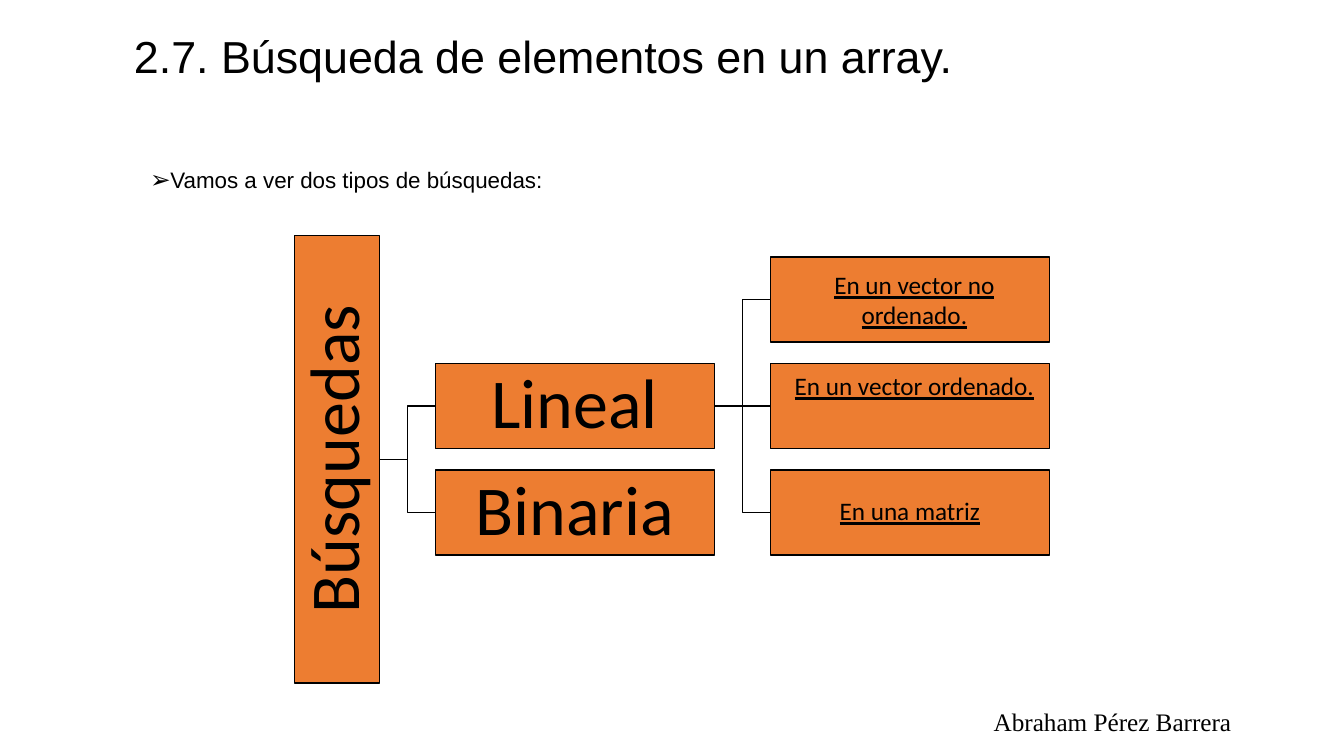
import pptx
import pptx.dml.color
import pptx.enum.shapes
import pptx.enum.text
import pptx.oxml.ns
import pptx.util
from lxml import etree

Pt = pptx.util.Pt
ALIGN = pptx.enum.text.PP_ALIGN
ANCHOR = pptx.enum.text.MSO_ANCHOR
LINK = pptx.enum.shapes.MSO_CONNECTOR

BLACK, ORANGE = "000000", "ED7D31"

# text, left, top, width, height, font, size, anchor
NOTES = {
    "author": ("Abraham Pérez Barrera", 702.7, 501, 191.5, 29, "Times New Roman", 18, ANCHOR.TOP),
    "title": ("2.7. Búsqueda de elementos en un array.", 88.6, 6.5, 805.7, 71.3, "Arial", 32, ANCHOR.MIDDLE),
    "intro": ("Vamos a ver dos tipos de búsquedas:", 100.1, 105.8, 794.9, 342.7, "Arial", 16, ANCHOR.TOP),
}
ROOT = "Búsquedas"
# text, column, row
KINDS = [("Lineal", 0, 1), ("Binaria", 0, 2)]
# text, column, row, line spacing, left indent, bottom inset
LEAVES = [
    ("En un vector no ordenado.", 1, 0, 1, 6.5, 1),
    ("En un vector ordenado.", 1, 1, 1, 6.5, 30),
    ("En una matriz", 1, 2, 0.9, 0, 1),
]
LEFT, TOP = 310.9, 183.6
WIDE, HIGH = 199.4, 60.8
GAP_X, GAP_Y = 39.9, 15.2
TALL = 319.7


def color(code):
    return pptx.dml.color.RGBColor.from_string(code)


def write(frame, text, font, size, space=1, under=False):
    para = frame.paragraphs[0]
    para.line_spacing = space
    run = para.add_run()
    run.text = text
    run.font.name, run.font.size = font, Pt(size)
    run.font.color.rgb = color(BLACK)
    if under:
        run.font.underline = True
    return para


def note(slide, key, space=1):
    text, left, top, width, height, font, size, anchor = NOTES[key]
    box = slide.shapes.add_textbox(Pt(left), Pt(top), Pt(width), Pt(height))
    box.text_frame.word_wrap = True
    box.text_frame.vertical_anchor = anchor
    return write(box.text_frame, text, font, size, space)


def bullet(para, sign, percent, indent):
    props = para._p.get_or_add_pPr()
    props.set("marL", str(Pt(indent)))
    props.set("indent", str(-Pt(indent)))
    for tag, key, value in (("a:buSzPct", "val", str(percent * 1000)),
                            ("a:buFont", "typeface", "Arial"),
                            ("a:buChar", "char", sign)):
        etree.SubElement(props, pptx.oxml.ns.qn(tag)).set(key, value)


def block(slide, left, top, width, height, inset):
    """Add an empty orange box of the tree."""
    shape = slide.shapes.add_shape(pptx.enum.shapes.MSO_SHAPE.RECTANGLE,
                                   Pt(left), Pt(top), Pt(width), Pt(height))
    shape.shadow.inherit = False
    shape.fill.solid()
    shape.fill.fore_color.rgb = color(ORANGE)
    shape.line.color.rgb = color(BLACK)
    shape.line.width = Pt(1)
    frame = shape.text_frame
    frame.word_wrap = True
    frame.vertical_anchor = ANCHOR.MIDDLE
    frame.margin_left = frame.margin_right = Pt(inset)
    frame.margin_top = frame.margin_bottom = Pt(inset)
    frame.paragraphs[0].alignment = ALIGN.CENTER
    return shape


def cell(slide, col, row, inset):
    """Add a box at a column and row of the tree."""
    return block(slide, LEFT + col * (WIDE + GAP_X), TOP + row * (HIGH + GAP_Y),
                 WIDE, HIGH, inset)


def join(slide, start, end):
    """Link the right side of one box to the left side of another."""
    level = abs(start.top + start.height / 2 - end.top - end.height / 2) < Pt(1)
    kind = LINK.STRAIGHT if level else LINK.ELBOW
    line = slide.shapes.add_connector(kind, 0, 0, 0, 0)
    line.begin_connect(start, 3)
    line.end_connect(end, 1)
    line.line.color.rgb = color(BLACK)
    line.line.width = Pt(1)
    etree.SubElement(line._element.spPr, pptx.oxml.ns.qn("a:effectLst"))


def main():
    deck = pptx.Presentation()
    deck.slide_width, deck.slide_height = Pt(960), Pt(540)
    slide = deck.slides.add_slide(deck.slide_layouts[6])

    note(slide, "author")
    note(slide, "title", 0.9)
    intro = note(slide, "intro", 1.5)
    intro.alignment = ALIGN.JUSTIFY
    bullet(intro, "➢", 110, 13.7)

    middle = TOP + 1.5 * (HIGH + GAP_Y) + HIGH / 2
    root = block(slide, LEFT - GAP_X - HIGH, middle - TALL / 2, HIGH, TALL, 2)
    root.text_frame._txBody.bodyPr.set("vert", "vert270")
    write(root.text_frame, ROOT, "Calibri", 50, 0.9)

    kinds = []
    for text, col, row in KINDS:
        shape = cell(slide, col, row, 2)
        write(shape.text_frame, text, "Calibri", 50, 0.9)
        join(slide, root, shape)
        kinds.append(shape)

    for text, col, row, space, indent, bottom in LEAVES:
        shape = cell(slide, col, row, 1)
        shape.text_frame.margin_bottom = Pt(bottom)
        para = write(shape.text_frame, text, "Calibri", 18, space, True)
        para._p.get_or_add_pPr().set("marL", str(Pt(indent)))
        join(slide, kinds[0], shape)

    deck.save("out.pptx")


if __name__ == "__main__":
    main()
